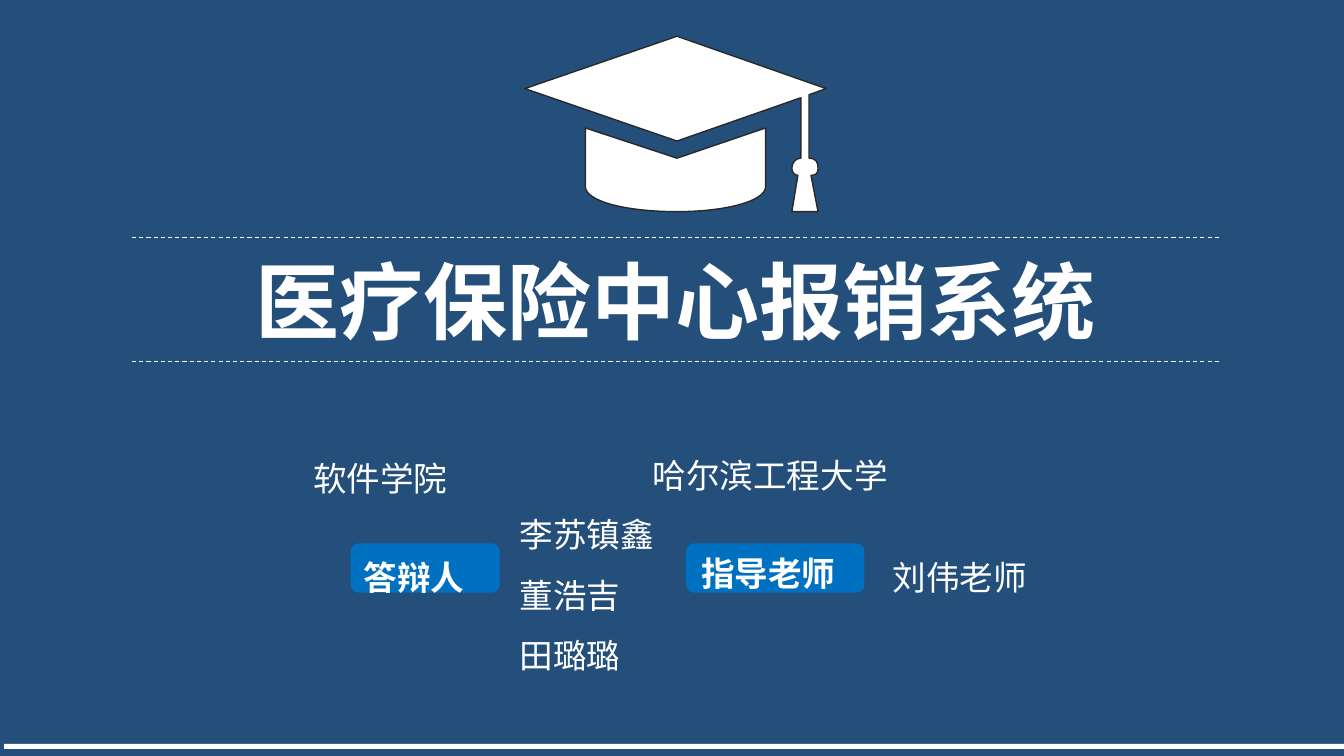
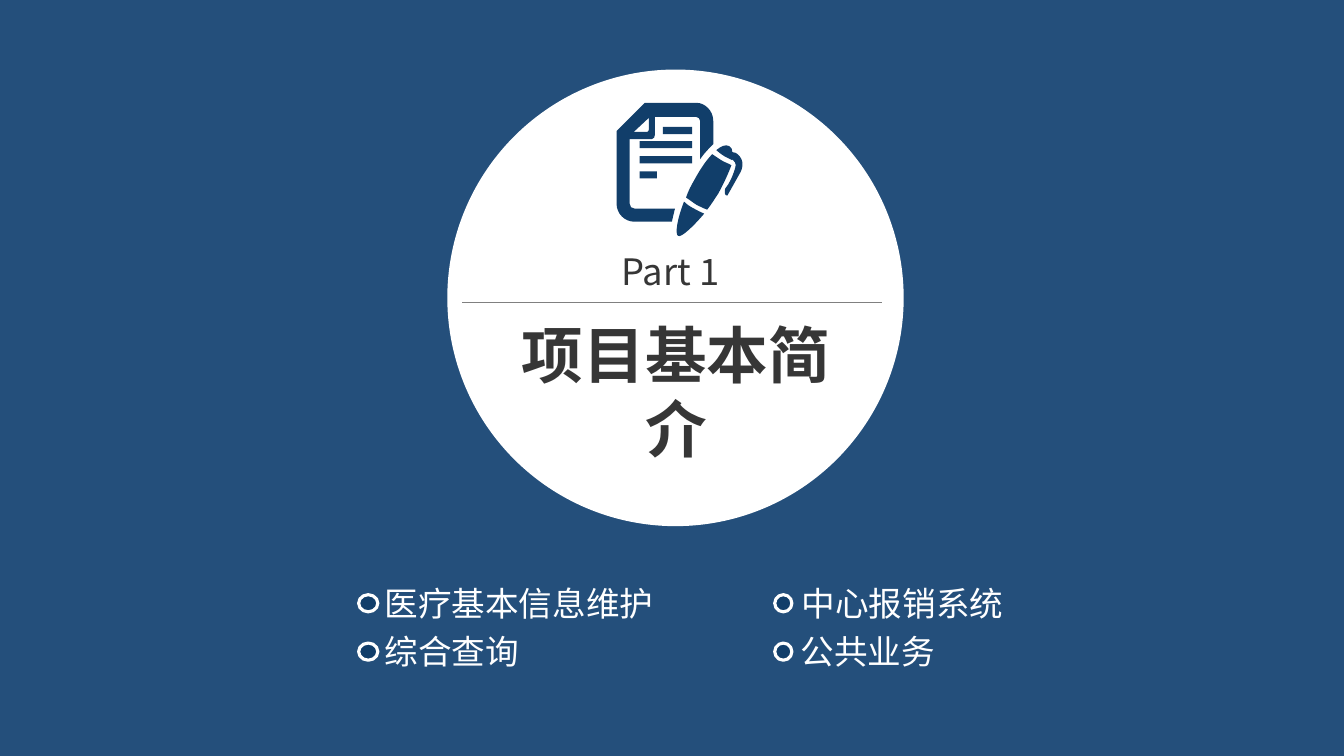
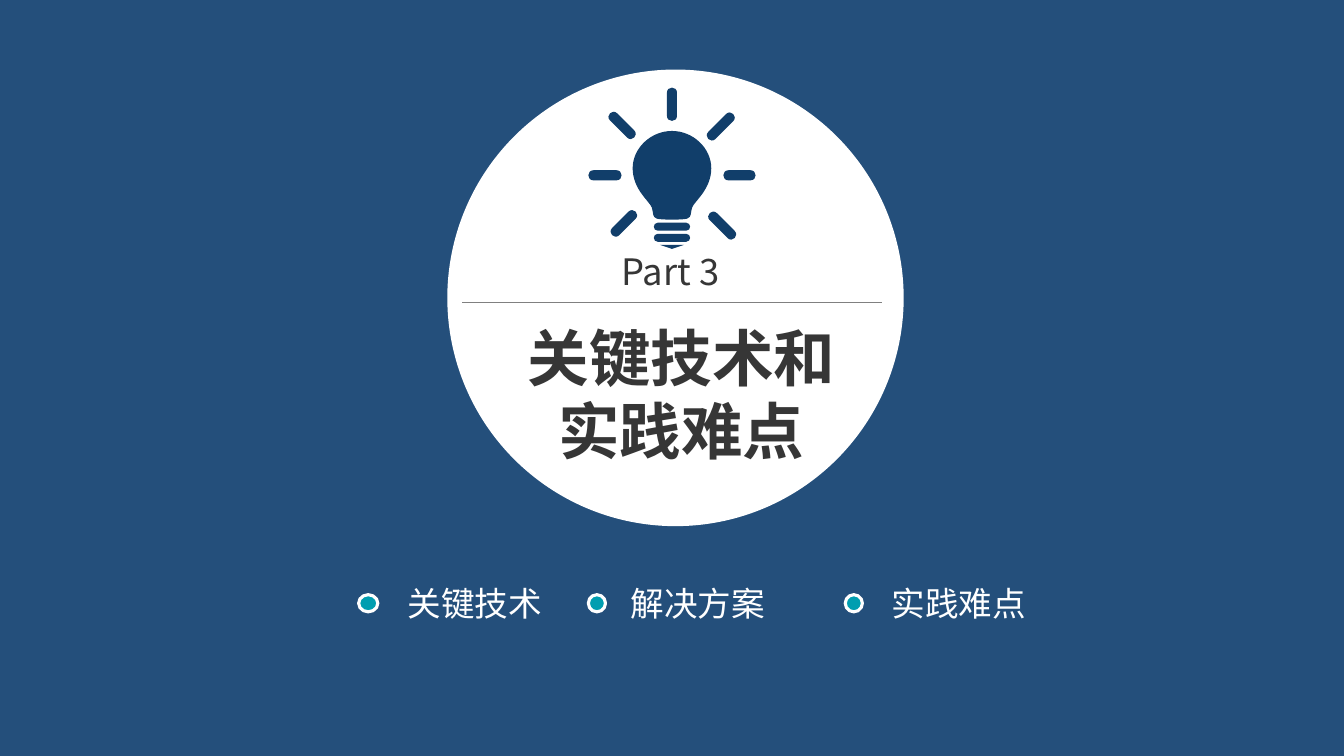
from math import cos, hypot, radians, sin

from lxml.etree import SubElement
from pptx import Presentation
from pptx.dml.color import RGBColor
from pptx.enum.dml import MSO_LINE
from pptx.enum.shapes import MSO_CONNECTOR, MSO_SHAPE
from pptx.enum.text import MSO_ANCHOR, MSO_AUTO_SIZE, PP_ALIGN
from pptx.oxml.ns import qn
from pptx.util import Inches, Pt

SLIDE_WIDTH, SLIDE_HEIGHT = 13.34, 7.5
FONT = "Noto Sans CJK SC"
BACKDROP = RGBColor(0x00, 0x33, 0x66)
BACKDROP_OPACITY = 86
WHITE = RGBColor(0xFF, 0xFF, 0xFF)
NAVY = RGBColor(0x11, 0x3E, 0x6A)
BLUE = RGBColor(0x00, 0x70, 0xC0)
TEAL = RGBColor(0x00, 0x9E, 0xB0)
DARK = RGBColor(0x36, 0x36, 0x36)
GRAY = RGBColor(0x80, 0x80, 0x80)
OUTLINE = RGBColor(0x29, 0x29, 0x29)

TITLE = "医疗保险中心报销系统"
# Tag boxes: left, width
TAG_BOXES = [(3.48, 1.48), (6.81, 1.77)]
# Cover texts: left, top, width, height, lines, bold
COVER_TEXTS = [
    (6.38, 4.26, 4.81, 0.7, ["哈尔滨工程大学"], False),
    (3.01, 4.29, 3.14, 0.7, ["软件学院"], False),
    (5.06, 4.85, 1.62, 1.9, ["李苏镇鑫", "董浩吉", "田璐璐"], False),
    (8.76, 5.28, 1.85, 0.7, ["刘伟老师"], False),
    (6.86, 5.24, 1.65, 0.7, ["指导老师"], True),
    (3.51, 5.28, 1.43, 0.7, ["答辩人"], True),
]

# Outlines hold points (x, y) and curves (x1, y1, x2, y2, x, y), in inches.
CAP = [
    [(8.12, 1.67), (8.12, 1.61, 8.1, 1.57, 8.03, 1.57), (8.03, 0.94), (8.2, 0.88),
     (6.72, 0.36), (5.21, 0.88), (6.72, 1.4), (7.95, 0.97), (7.95, 1.57),
     (7.9, 1.57, 7.86, 1.61, 7.86, 1.67), (7.86, 1.72, 7.9, 1.74, 7.92, 1.74),
     (7.86, 2.1), (8.12, 2.1), (8.05, 1.74), (8.1, 1.74, 8.12, 1.72, 8.12, 1.67)],
    [(5.81, 1.27), (5.81, 1.85), (5.81, 2, 6.22, 2.1, 6.72, 2.1),
     (7.19, 2.1, 7.6, 2, 7.6, 1.85), (7.6, 1.27), (6.72, 1.57)],
]
PAGE = [
    [(6.4, 1.02), (6.91, 1.02), (7, 1.02, 7.08, 1.1, 7.08, 1.2), (7.08, 1.43),
     (7.03, 1.48, 6.99, 1.52, 6.95, 1.58), (6.95, 1.2),
     (6.95, 1.18, 6.93, 1.16, 6.91, 1.16), (6.5, 1.16), (6.5, 1.34),
     (6.5, 1.36, 6.49, 1.38, 6.47, 1.38), (6.25, 1.38), (6.25, 2.02),
     (6.25, 2.05, 6.27, 2.07, 6.3, 2.07), (6.7, 2.07),
     (6.69, 2.11, 6.68, 2.15, 6.67, 2.2), (6.3, 2.2),
     (6.2, 2.2, 6.12, 2.12, 6.12, 2.02), (6.12, 1.3)],
    [(6.29, 1.31), (6.42, 1.31), (6.43, 1.31, 6.44, 1.3, 6.44, 1.29), (6.44, 1.17)],
]
PEN = [
    [(7.24, 1.45), (7.26, 1.46, 7.27, 1.48, 7.27, 1.51),
     (7.31, 1.51, 7.34, 1.54, 7.36, 1.58), (7.38, 1.62, 7.37, 1.67, 7.35, 1.71),
     (7.31, 1.78, 7.26, 1.87, 7.22, 1.94), (7.19, 1.95, 7.19, 1.89, 7.2, 1.87),
     (7.24, 1.82, 7.27, 1.76, 7.3, 1.66), (7.31, 1.62, 7.29, 1.6, 7.27, 1.58),
     (7.27, 1.59), (7.24, 1.58, 7.22, 1.56, 7.19, 1.55),
     (7.16, 1.53, 7.13, 1.51, 7.11, 1.49), (7.16, 1.45, 7.2, 1.43, 7.24, 1.45)],
    [(7.26, 1.64), (7.23, 1.72, 7.19, 1.81, 7.13, 1.92),
     (7.09, 1.98, 7.06, 2.03, 7.02, 2.08), (6.99, 2.07, 6.95, 2.05, 6.91, 2.03),
     (6.88, 2.01, 6.84, 1.98, 6.81, 1.96), (6.83, 1.9, 6.86, 1.84, 6.89, 1.79),
     (6.95, 1.68, 7.01, 1.59, 7.07, 1.53), (7.1, 1.55, 7.13, 1.57, 7.16, 1.59),
     (7.19, 1.61, 7.23, 1.62, 7.26, 1.64)],
    [(6.99, 2.12), (6.87, 2.26, 6.76, 2.36, 6.73, 2.34),
     (6.7, 2.32, 6.72, 2.18, 6.79, 2), (6.82, 2.03, 6.85, 2.05, 6.89, 2.07),
     (6.92, 2.09, 6.95, 2.1, 6.99, 2.12)],
]
# Lines of writing on the page: left, top, right
WRITING = [(6.58, 1.26, 6.87), (6.35, 1.4, 6.87), (6.35, 1.55, 6.87), (6.35, 1.7, 6.52)]
WRITING_HEIGHT = 0.07
BULB = [
    [(6.67, 1.3), (6.88, 1.3, 7.06, 1.47, 7.06, 1.67),
     (7.06, 1.88, 6.89, 2, 6.87, 2.06), (6.85, 2.12, 6.87, 2.15, 6.82, 2.17),
     (6.78, 2.18, 6.67, 2.18, 6.67, 2.18), (6.67, 2.18, 6.56, 2.18, 6.52, 2.17),
     (6.47, 2.15, 6.49, 2.12, 6.47, 2.06), (6.45, 2, 6.28, 1.88, 6.28, 1.67),
     (6.28, 1.47, 6.46, 1.3, 6.67, 1.3)],
    [(6.67, 2.47), (6.79, 2.43), (6.55, 2.43)],
]
BULB_CENTER = (6.67, 1.74)
# Rays: angle in degrees, inner and outer radius
RAYS = [(0, 0.51, 0.83), (45, 0.53, 0.88), (135, 0.51, 0.84), (180, 0.5, 0.83),
        (225, 0.53, 0.87), (270, 0.54, 0.87), (315, 0.51, 0.86)]
SOCKET_TOPS = [2.21, 2.32]


def capsule(x1, y1, x2, y2, width):
    """Outline of a round-ended bar from tip (x1, y1) to tip (x2, y2)."""
    radius, length = width / 2, hypot(x2 - x1, y2 - y1)
    dx, dy = radius * (x2 - x1) / length, radius * (y2 - y1) / length
    outline = []
    for x, y, u, v in ((x2 - dx, y2 - dy, dx, dy), (x1 + dx, y1 + dy, -dx, -dy)):
        start, end = (x + v, y - u), (x - v, y + u)
        handle_x, handle_y = u * 4 / 3, v * 4 / 3
        outline += [start, (start[0] + handle_x, start[1] + handle_y,
                            end[0] + handle_x, end[1] + handle_y, *end)]
    return outline


def ray(angle, inner, outer):
    x, y = BULB_CENTER
    dx, dy = cos(radians(angle)), sin(radians(angle))
    return capsule(x + inner * dx, y + inner * dy, x + outer * dx, y + outer * dy, 0.1)


def writing_line(left, top, right):
    bottom = top + WRITING_HEIGHT
    return [(left, top), (right, top), (right, bottom), (left, bottom)]


PAGE_ICON = PAGE + PEN + [writing_line(*line) for line in WRITING]
BULB_ICON = (BULB + [ray(*values) for values in RAYS]
             + [capsule(6.49, top + 0.04, 6.85, top + 0.04, 0.08) for top in SOCKET_TOPS])

# Sections: heading with its left, top and width; items: marker left and width,
# label left and width, row, text
SECTIONS = [
    {
        "part": "Part 1", "icon": PAGE_ICON, "dot": NAVY,
        "heading": ("项目基本简介", 4.82, 3.1, 3.78),
        "items": [
            (3.56, 0.19, 3.72, 3.13, 0, "医疗基本信息维护"),
            (3.56, 0.19, 3.72, 3.13, 1, "综合查询"),
            (7.69, 0.17, 7.86, 2.91, 0, "中心报销系统"),
            (7.69, 0.17, 7.85, 3.62, 1, "公共业务"),
        ],
    },
    {
        "part": "Part 3", "icon": BULB_ICON, "dot": TEAL,
        "heading": ("关键技术和实践难点", 5.03, 3.12, 3.47),
        "items": [
            (3.56, 0.19, 3.95, 3.13, 0, "关键技术"),
            (5.84, 0.17, 6.16, 1.92, 0, "解决方案"),
            (8.39, 0.17, 8.75, 2.91, 0, "实践难点"),
        ],
    },
]
ITEM_TOP, ITEM_STEP = 5.73, 0.48


def add_text(slide, left, top, width, height, lines, size=24, color=WHITE, bold=False,
             align=PP_ALIGN.LEFT, spacing=None, anchor=MSO_ANCHOR.TOP, tight=False):
    """Add a text box; a tight one has no margins and does not wrap."""
    box = slide.shapes.add_textbox(Inches(left), Inches(top), Inches(width), Inches(height))
    frame = box.text_frame
    frame.word_wrap = not tight
    frame.vertical_anchor = anchor
    if anchor == MSO_ANCHOR.TOP:
        frame.auto_size = MSO_AUTO_SIZE.SHAPE_TO_FIT_TEXT
    if tight:
        frame.margin_left = frame.margin_right = 0
        frame.margin_top = frame.margin_bottom = 0
    for index, line in enumerate(lines):
        paragraph = frame.add_paragraph() if index else frame.paragraphs[0]
        paragraph.alignment = align
        paragraph.line_spacing = spacing
        run = paragraph.add_run()
        run.text = line
        font = run.font
        font.name, font.size, font.bold = FONT, Pt(size), bold
        font.color.rgb = color
        SubElement(font._element, qn("a:ea")).set("typeface", FONT)


def paint(shape, fill, line=None, line_width=1):
    shape.shadow.inherit = False
    shape.fill.solid()
    shape.fill.fore_color.rgb = fill
    if line is None:
        shape.line.fill.background()
    else:
        shape.line.color.rgb = line
        shape.line.width = Pt(line_width)


def add_preset(slide, preset, left, top, width, height, fill, line=None, line_width=1):
    shape = slide.shapes.add_shape(preset, Inches(left), Inches(top),
                                   Inches(width), Inches(height))
    paint(shape, fill, line, line_width)
    return shape


def add_rule(slide, left, right, y, color, width, dash=None):
    rule = slide.shapes.add_connector(MSO_CONNECTOR.STRAIGHT, Inches(left), Inches(y),
                                      Inches(right), Inches(y))
    rule.line.color.rgb = color
    rule.line.width = Pt(width)
    if dash:
        rule.line.dash_style = dash
    SubElement(rule._element.spPr, qn("a:effectLst"))


def add_icon(slide, outlines, fill, line=None):
    """Add one freeform; its curves are drawn as three segments, then joined."""
    builder = None
    part_sizes = []
    for outline in outlines:
        start, *parts = outline
        start = [Inches(value) for value in start]
        if builder is None:
            builder = slide.shapes.build_freeform(*start)
        else:
            builder.move_to(*start)
        points = [(Inches(part[index]), Inches(part[index + 1]))
                  for part in parts for index in range(0, len(part), 2)]
        builder.add_line_segments(points, close=True)
        part_sizes += [len(part) // 2 for part in parts]
    shape = builder.convert_to_shape()
    segments = iter(list(shape._element.iter(qn("a:lnTo"))))
    for size in part_sizes:
        first, *others = [next(segments) for _ in range(size)]
        if others:
            first.tag = qn("a:cubicBezTo")
        for segment in others:
            first.append(segment[0])
            segment.getparent().remove(segment)
    paint(shape, fill, line)


def add_backdrop(master, slide):
    """Put the tinted backdrop on the master, which has no add_shape of its own."""
    master.background.fill.solid()
    master.background.fill.fore_color.rgb = WHITE
    backdrop = add_preset(slide, MSO_SHAPE.RECTANGLE, 0, 0, SLIDE_WIDTH, SLIDE_HEIGHT, BACKDROP)
    color = backdrop._element.spPr.find(qn("a:solidFill"))[0]
    SubElement(color, qn("a:alpha")).set("val", str(BACKDROP_OPACITY * 1000))
    master.shapes._spTree.insert(2, backdrop._element)


def add_cover(slide):
    add_text(slide, 0.84, 2.53, 11.73, 0.89, [TITLE], size=60, bold=True,
             align=PP_ALIGN.CENTER, anchor=MSO_ANCHOR.MIDDLE)
    for left, width in TAG_BOXES:
        add_preset(slide, MSO_SHAPE.ROUNDED_RECTANGLE, left, 5.39, width, 0.49, BLUE)
    for left, top, width, height, lines, bold in COVER_TEXTS:
        add_text(slide, left, top, width, height, lines, bold=bold, spacing=1.5)
    add_preset(slide, MSO_SHAPE.RECTANGLE, 0.04, 7.38, 13.3, 0.05, WHITE)
    for y in (2.36, 3.59):
        add_rule(slide, 1.31, 12.1, y, WHITE, 0.75, MSO_LINE.DASH)
    add_icon(slide, CAP, WHITE, OUTLINE)


def add_section(slide, section):
    add_preset(slide, MSO_SHAPE.OVAL, 4.44, 0.69, 4.53, 4.53, WHITE)
    add_icon(slide, section["icon"], NAVY)
    add_rule(slide, 4.59, 8.75, 3, GRAY, 1)
    heading, left, top, width = section["heading"]
    add_text(slide, left, top, width, 1.57, [heading], size=44, color=DARK, bold=True,
             align=PP_ALIGN.CENTER)
    add_text(slide, 6.17, 2.47, 1, 0.43, [section["part"]], size=26, color=DARK, tight=True)
    for dot_left, dot_width, label_left, label_width, row, label in section["items"]:
        top = ITEM_TOP + row * ITEM_STEP
        add_preset(slide, MSO_SHAPE.OVAL, dot_left, top + 0.17, dot_width, 0.17,
                   section["dot"], WHITE, 2.25)
        add_text(slide, label_left, top, label_width, 0.5, [label])


def main():
    presentation = Presentation()
    presentation.slide_width = Inches(SLIDE_WIDTH)
    presentation.slide_height = Inches(SLIDE_HEIGHT)
    blank = presentation.slide_layouts[6]
    cover = presentation.slides.add_slide(blank)
    add_backdrop(presentation.slide_master, cover)
    add_cover(cover)
    for section in SECTIONS:
        add_section(presentation.slides.add_slide(blank), section)
    presentation.save("out.pptx")


if __name__ == "__main__":
    main()
